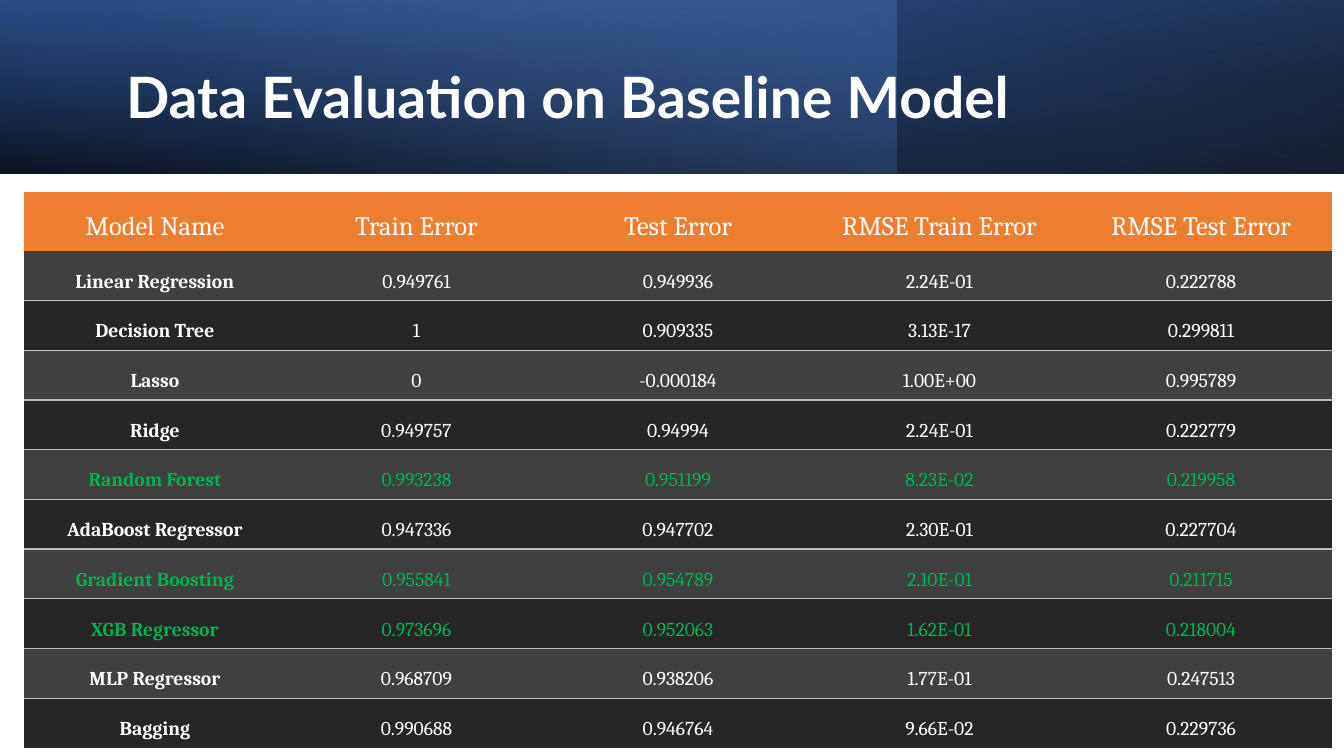
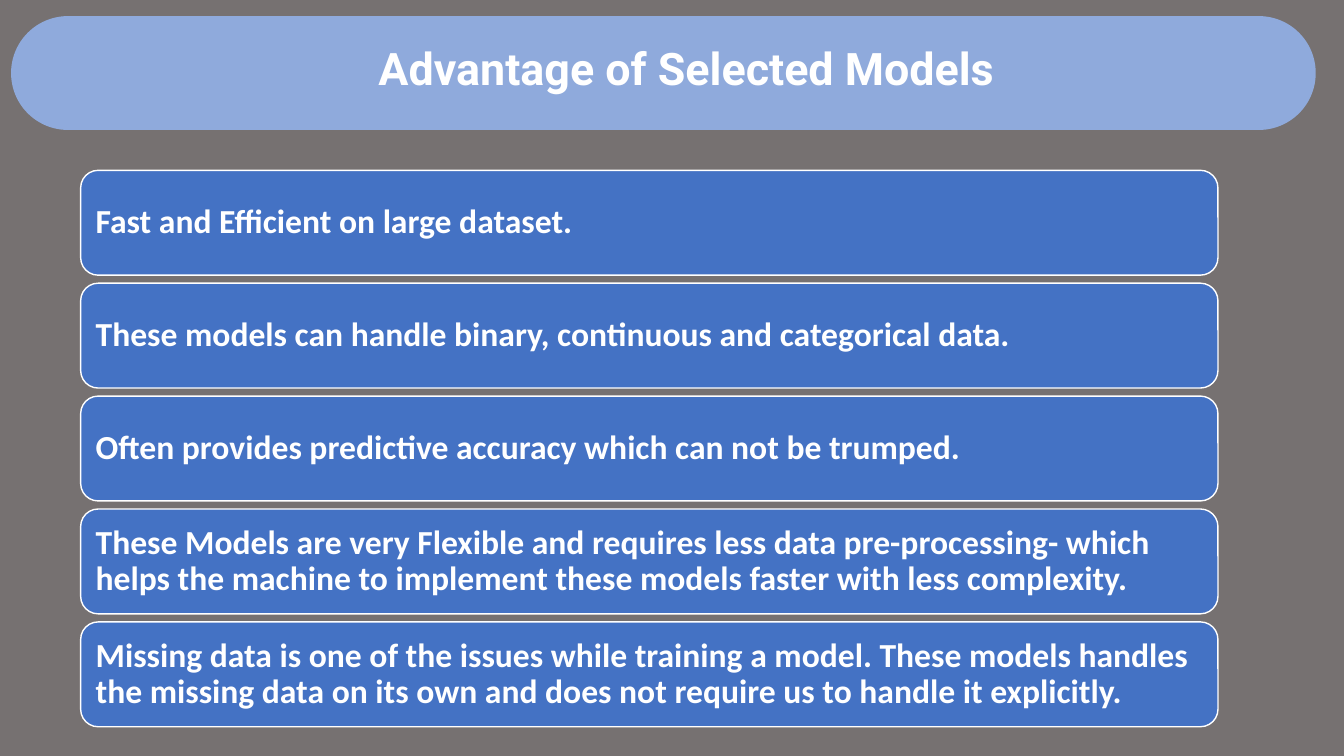
from pptx import Presentation
from pptx.dml.color import RGBColor
from pptx.enum.shapes import MSO_SHAPE
from pptx.enum.text import MSO_ANCHOR, PP_ALIGN
from pptx.oxml import parse_xml
from pptx.oxml.ns import nsdecls
from pptx.util import Inches, Pt

RECT, ROUND = MSO_SHAPE.RECTANGLE, MSO_SHAPE.ROUNDED_RECTANGLE
LEFT, CENTER = PP_ALIGN.LEFT, PP_ALIGN.CENTER
TOP, MIDDLE = MSO_ANCHOR.TOP, MSO_ANCHOR.MIDDLE
WHITE, BLUE, SKY, NAVY, BLACK = "FFFFFF", "4472C4", "8FAADC", "2F5597", "000000"
ORANGE, GREEN, GREY = "ED7D31", "00B050", "BFBFBF"
STRIPES = ["404040", "262626"]
NO_GRID = "{2D5ABB26-0587-4C30-8999-92F81FD0307C}"


def paint(part, hue):
    part.solid()
    part.fore_color.rgb = RGBColor.from_string(hue)


def write(frame, text, size=24, font="Calibri", hue=WHITE, bold=True,
          align=LEFT, anchor=MIDDLE, space=1.0):
    frame.word_wrap = True
    frame.vertical_anchor = anchor
    para = frame.paragraphs[0]
    para.alignment = align
    para.line_spacing = space
    run = para.add_run()
    run.text = text
    run.font.size = Pt(size)
    run.font.name = font
    run.font.bold = bold
    paint(run.font.fill, hue)


prs = Presentation()
prs.slide_width, prs.slide_height = Inches(13.33), Inches(7.5)
blank = prs.slide_layouts[6]

slide = prs.slides.add_slide(blank)
paint(slide.background.fill, WHITE)

bands = [
    (13.33, 180, True, 100, [(0, BLACK, 96), (100, NAVY, 100)]),
    (8.89, 0, False, 140, [(0, BLUE, 41), (74, SKY, 0)]),
    (13.33, 0, True, 260, [(0, BLACK, 63), (78, BLUE, 15)]),
]
for width, turn, flip, angle, stops in bands:
    band = slide.shapes.add_shape(RECT, 0, 0, Inches(width), Inches(1.72))
    band.rotation = turn
    band.shadow.inherit = False
    band.line.fill.background()
    props = band._element.spPr
    if flip:
        props.xfrm.set("flipH", "1")
    marks = "".join(
        f'<a:gs pos="{pos * 1000}"><a:srgbClr val="{hue}">'
        f'<a:alpha val="{alpha * 1000}"/></a:srgbClr></a:gs>'
        for pos, hue, alpha in stops)
    props.insert(2, parse_xml(
        f'<a:gradFill {nsdecls("a")} rotWithShape="1"><a:gsLst>{marks}</a:gsLst>'
        f'<a:lin ang="{angle * 60000}" scaled="0"/></a:gradFill>'))

title = slide.shapes.add_textbox(Inches(0.8), Inches(0.4), Inches(9.66), Inches(1.27))
write(title.text_frame, "Data Evaluation on Baseline Model", size=40.7, font="Lato",
      align=CENTER, space=0.7)

rows = [
    ("Model Name", "Train Error", "Test Error", "RMSE Train Error", "RMSE Test Error"),
    ("Linear Regression", "0.949761", "0.949936", "2.24E-01", "0.222788"),
    ("Decision Tree", "1", "0.909335", "3.13E-17", "0.299811"),
    ("Lasso", "0", "-0.000184", "1.00E+00", "0.995789"),
    ("Ridge", "0.949757", "0.94994", "2.24E-01", "0.222779"),
    ("Random Forest", "0.993238", "0.951199", "8.23E-02", "0.219958"),
    ("AdaBoost Regressor", "0.947336", "0.947702", "2.30E-01", "0.227704"),
    ("Gradient Boosting", "0.955841", "0.954789", "2.10E-01", "0.211715"),
    ("XGB Regressor", "0.973696", "0.952063", "1.62E-01", "0.218004"),
    ("MLP Regressor", "0.968709", "0.938206", "1.77E-01", "0.247513"),
    ("Bagging", "0.990688", "0.946764", "9.66E-02", "0.229736"),
]
best = {"Random Forest", "Gradient Boosting", "XGB Regressor"}
table = slide.shapes.add_table(len(rows), len(rows[0]), Inches(0.24), Inches(1.9),
                               Inches(12.97), Inches(5.52)).table
table._tbl.tblPr[0].text = NO_GRID
for r, row in enumerate(rows):
    head = r == 0
    table.rows[r].height = Inches(0.59) if head else Inches(4.93 / 10)
    for c, text in enumerate(row):
        cell = table.cell(r, c)
        cell.margin_left = cell.margin_right = Inches(0.01)
        cell.margin_top, cell.margin_bottom = Inches(0.12), 0
        cell.vertical_anchor = MIDDLE
        paint(cell.fill, ORANGE if head else STRIPES[(r - 1) % 2])
        write(cell.text_frame, text, size=19 if head else 14, font="Cambria",
              hue=GREEN if row[0] in best else WHITE,
              bold=c == 0 and not head, align=CENTER)
        if not head:
            side = "lnB" if r % 2 else "lnT"
            cell._tc.get_or_add_tcPr().insert(0, parse_xml(
                f'<a:{side} {nsdecls("a")} w="12700"><a:solidFill>'
                f'<a:srgbClr val="{GREY}"/></a:solidFill></a:{side}>'))

slide = prs.slides.add_slide(blank)
paint(slide.background.fill, "767171")

pill = slide.shapes.add_shape(ROUND, Inches(0.11), Inches(0.16), Inches(12.94), Inches(1.13))
pill.adjustments[0] = 0.5
pill.shadow.inherit = False
pill.line.fill.background()
paint(pill.fill, SKY)
title = slide.shapes.add_textbox(Inches(1.05), Inches(0.36), Inches(11.52), Inches(0.64))
write(title.text_frame, "Advantage of Selected Models", size=32, font="Roboto",
      align=CENTER, anchor=TOP)

points = [
    "Fast and Efficient on large dataset.",
    "These models can handle binary, continuous and categorical data.",
    "Often provides predictive accuracy which can not be trumped.",
    "These Models are very Flexible and requires less data pre-processing- which "
    "helps the machine to implement these models faster with less complexity.",
    "Missing data is one of the issues while training a model. These models handles "
    "the missing data on its own and does not require us to handle it explicitly.",
]
for i, text in enumerate(points):
    box = slide.shapes.add_shape(ROUND, Inches(0.8), Inches(1.69 + 1.12 * i),
                                 Inches(11.28), Inches(1.04))
    box.shadow.inherit = False
    paint(box.fill, BLUE)
    paint(box.line.fill, WHITE)
    box.line.width = Pt(1)
    frame = box.text_frame
    frame.margin_left = frame.margin_right = Inches(0.1)
    frame.margin_top = frame.margin_bottom = Inches(0.1)
    write(frame, text, space=0.9)

prs.save("out.pptx")
